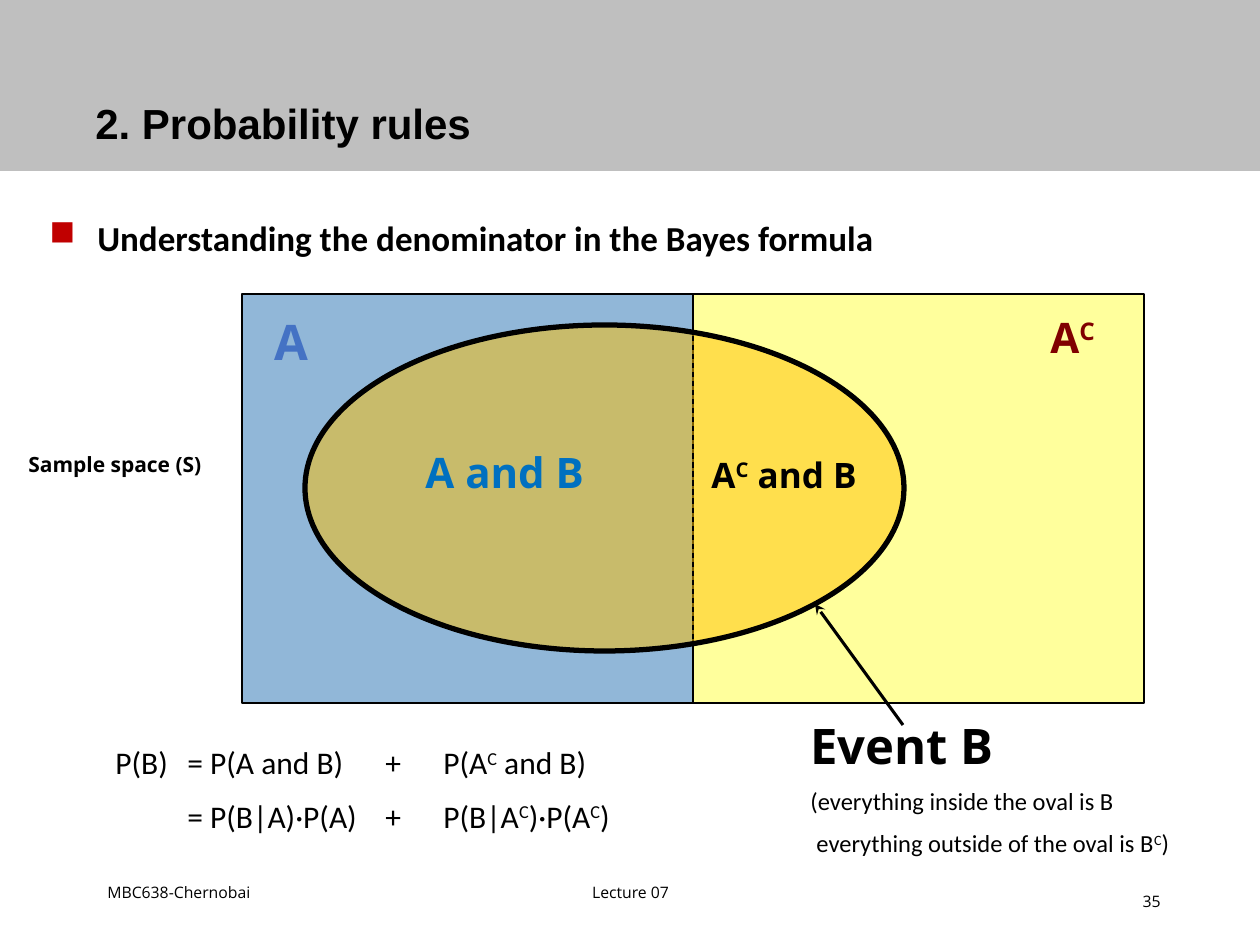
from dataclasses import dataclass

from lxml import etree
from pptx import Presentation, util as u
from pptx.dml.color import RGBColor
from pptx.enum import dml, shapes, text
from pptx.oxml import ns

PIXEL = u.Inches(1) / 126


@dataclass(frozen=True)
class Theme:
    black: str = "000000"
    banner: str = "BFBFBF"
    event_a: str = "2E75B6"
    complement: str = "FFFF00"
    event_b: str = "FFC000"
    label_a: str = "4472C4"
    label_complement: str = "800000"
    label_overlap: str = "0070C0"
    bullet: str = "C00000"
    heading: str = "Arial"
    body: str = "Calibri"
    label: str = "Open Sans"
    huge: int = 28
    large: int = 24
    medium: int = 20
    formula: int = 18
    note: int = 14
    small: int = 12
    footer: int = 9


THEME = Theme()


def px(value):
    return u.Emu(round(value * PIXEL))


def add_element(parent, tag, **attributes):
    element = etree.SubElement(parent, ns.qn(tag))
    for name, value in attributes.items():
        element.set(name, str(value))
    return element


def add_paragraph(frame, content, size, font=THEME.label, color=THEME.black, bold=False):
    """Add a paragraph; a caret on either side marks superscript text."""
    first = not frame.text
    paragraph = frame.paragraphs[0] if first else frame.add_paragraph()
    if not first:
        paragraph.space_before = u.Pt(size / 2)
    for index, part in enumerate(content.split("^")):
        if not part:
            continue
        run = paragraph.add_run()
        run.text = part
        run.font.size = u.Pt(size)
        run.font.name = font
        run.font.bold = bold
        run.font.color.rgb = RGBColor.from_string(color)
        if index % 2:
            run.font._element.set("baseline", "30000")
    return paragraph


def add_frame(slide, left, top, width, height, anchor=text.MSO_ANCHOR.TOP):
    frame = slide.shapes.add_textbox(px(left), px(top), px(width), px(height)).text_frame
    frame.word_wrap = True
    frame.vertical_anchor = anchor
    return frame


def add_area(slide, kind, box, color, opacity=100, line_width=0):
    area = slide.shapes.add_shape(kind, *map(px, box))
    area.shadow.inherit = False
    area.fill.solid()
    area.fill.fore_color.rgb = RGBColor.from_string(color)
    if opacity < 100:
        fill_color = area.fill._xPr.find(".//" + ns.qn("a:srgbClr"))
        add_element(fill_color, "a:alpha", val=opacity * 1000)
    if line_width:
        area.line.color.rgb = RGBColor.from_string(THEME.black)
        area.line.width = u.Pt(line_width)
    else:
        area.line.fill.background()


def add_line(slide, start, end, width):
    line = slide.shapes.add_connector(shapes.MSO_CONNECTOR.STRAIGHT, *map(px, start + end))
    line.line.color.rgb = RGBColor.from_string(THEME.black)
    line.line.width = u.Pt(width)
    add_element(line._element.spPr, "a:effectLst")
    return line


def add_header(slide, left, top, width, height):
    add_area(slide, shapes.MSO_SHAPE.RECTANGLE, (left, top, width, height), THEME.banner)
    frame = add_frame(slide, left + 83, top + 34, 1086, 183, text.MSO_ANCHOR.MIDDLE)
    title = add_paragraph(frame, "2. Probability rules", THEME.large, THEME.heading, bold=True)
    title.line_spacing = 0.9


def add_bullet_line(slide, left, top, width, height):
    frame = add_frame(slide, left, top, width, height)
    paragraph = add_paragraph(frame, "Understanding the denominator in the Bayes formula",
                              THEME.medium, THEME.body, bold=True)
    properties = paragraph._p.get_or_add_pPr()
    properties.set("marL", str(px(48)))
    properties.set("indent", str(px(-48)))
    add_element(add_element(properties, "a:buClr"), "a:srgbClr", val=THEME.bullet)
    add_element(properties, "a:buChar", char="■")


def add_venn_diagram(slide, left, top, width, height):
    half = width / 2
    middle = left + half
    rectangle = shapes.MSO_SHAPE.RECTANGLE
    add_area(slide, rectangle, (middle, top, half, height), THEME.complement, 39, 0.75)
    add_area(slide, rectangle, (left, top, half, height), THEME.event_a, 52, 0.75)
    add_area(slide, shapes.MSO_SHAPE.OVAL, (left + 63, top + 31, 599, 326), THEME.event_b, 50, 3)
    divider = add_line(slide, (middle, top + 42), (middle, top + 357), 0.75)
    divider.line.dash_style = dml.MSO_LINE.DASH

    # Region labels
    labels = (
        ("A", 20, 11, 73, 72, THEME.huge, THEME.label_a),
        ("A^C^", 796, 11, 105, 63, THEME.large, THEME.label_complement),
        ("A and B", 171, 146, 210, 63, THEME.large, THEME.label_overlap),
        ("A^C^ and B", 457, 153, 231, 55, THEME.medium, THEME.black),
        ("Sample space (S)", -226, 151, 242, 38, THEME.small, THEME.black),
    )
    for content, x, y, label_width, label_height, size, color in labels:
        frame = add_frame(slide, left + x, top + y, label_width, label_height)
        add_paragraph(frame, content, size, color=color, bold=True)

    # Arrow from the event caption to the oval
    arrow = add_line(slide, (left + 661, top + 431), (left + 573, top + 310), 1.75)
    add_element(arrow.line._get_or_add_ln(), "a:tailEnd", type="stealth")


def add_formula(slide, left, top, width, height):
    frame = add_frame(slide, left, top, width, height)
    rows = ("P(B)\t= P(A and B)\t+\tP(A^C^ and B)",
            "\t= P(B|A)·P(A)\t+\tP(B|A^C^)·P(A^C^)")
    for row in rows:
        paragraph = add_paragraph(frame, row, THEME.formula, THEME.body)
        tabs = add_element(paragraph._p.get_or_add_pPr(), "a:tabLst")
        for position in (72, 270, 328):
            add_element(tabs, "a:tab", pos=px(position), algn="l")


def add_event_caption(slide, left, top, width, height):
    frame = add_frame(slide, left, top, width, height)
    add_paragraph(frame, "Event B", THEME.huge, bold=True)
    add_paragraph(frame, "(everything inside the oval is B", THEME.note, THEME.body)
    last = add_paragraph(frame, "everything outside of the oval is B^C^)", THEME.note, THEME.body)
    last._p.get_or_add_pPr().set("marL", str(px(6)))


def add_footer(slide, left, top, width, height):
    align = text.PP_ALIGN
    parts = (
        ("MBC638-Chernobai", 0, 0, 262, height, align.LEFT),
        ("Lecture 07", 336, 0, 399, height, align.CENTER),
        ("35", width - 284, 15, 284, 50, align.RIGHT),
    )
    for content, x, y, part_width, part_height, alignment in parts:
        frame = add_frame(slide, left + x, top + y, part_width, part_height, text.MSO_ANCHOR.MIDDLE)
        add_paragraph(frame, content, THEME.footer).alignment = alignment


presentation = Presentation()
presentation.slide_width, presentation.slide_height = px(1260), px(945)
slide = presentation.slides.add_slide(presentation.slide_layouts[6])

add_venn_diagram(slide, 242, 294, 902, 409)
add_header(slide, 0, 0, 1260, 171)
add_bullet_line(slide, 37, 210, 1134, 54)
add_formula(slide, 103, 737, 548, 107)
add_event_caption(slide, 798, 709, 399, 161)
add_footer(slide, 95, 861, 1078, 63)

presentation.save("out.pptx")
